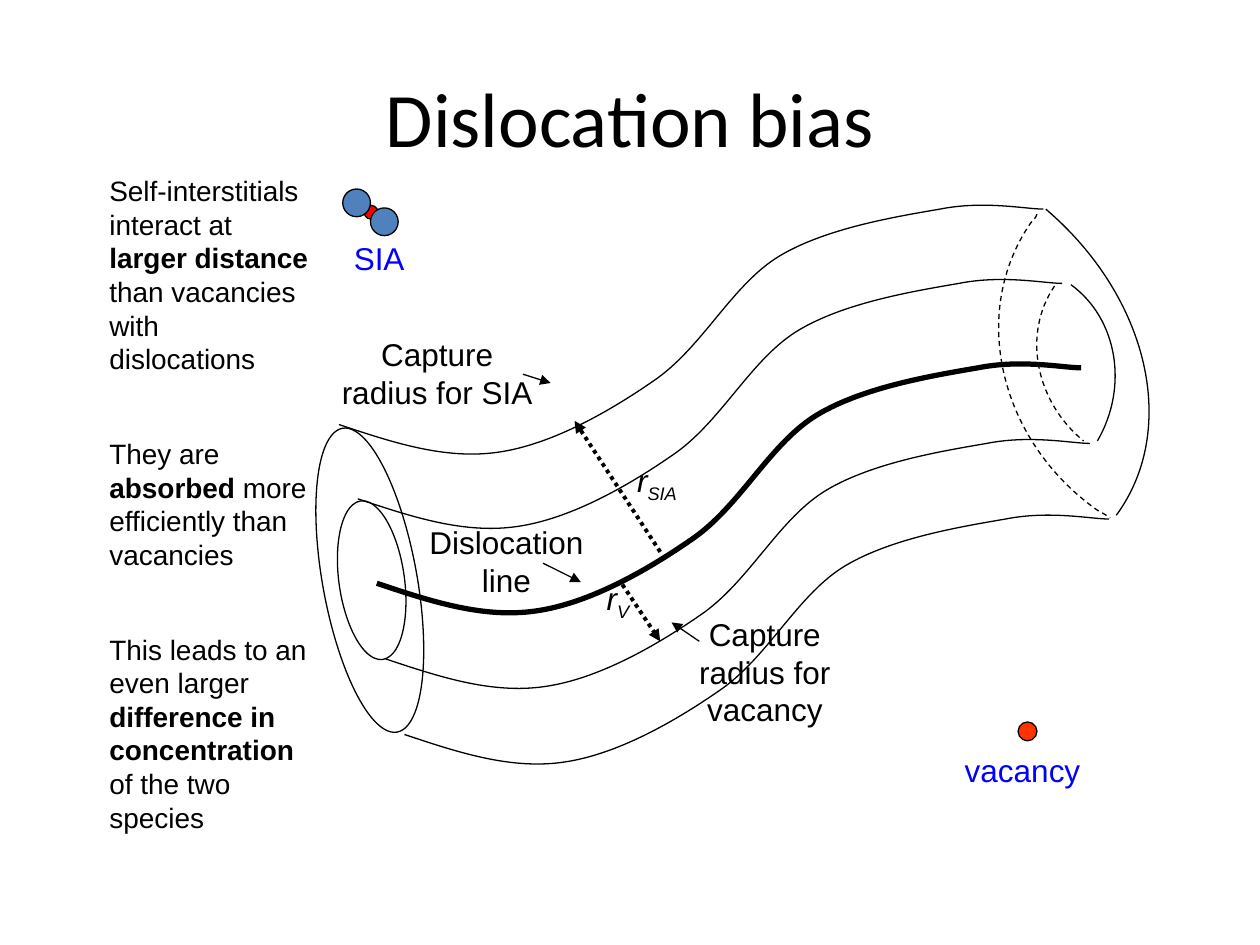
from lxml.etree import SubElement
from pptx import Presentation
from pptx.dml.color import RGBColor
from pptx.enum.dml import MSO_LINE
from pptx.enum.shapes import MSO_CONNECTOR, MSO_SHAPE
from pptx.enum.text import MSO_ANCHOR, PP_ALIGN
from pptx.oxml.ns import qn
from pptx.util import Inches, Pt

COLORS = {"ink": "000000", "name": "0000FF", "atom": "4F81BD",
          "core": "FF0000", "vacancy": "FF3300"}
BODY = {"name": "Arial", "size": Pt(16)}
LABEL = {"name": "Arial", "size": Pt(18)}
SYMBOL = {**LABEL, "italic": True}
TITLE = {"name": "Calibri", "size": Pt(44)}

# Bezier points shared by the dislocation line and the four tube edges
WAVE = [(0, 0), (0.42, 0.14), (0.84, 0.28), (1.26, 0.22), (1.69, 0.16),
        (2.16, -0.11), (2.53, -0.37), (2.9, -0.64), (3.13, -1.12),
        (3.5, -1.34), (3.87, -1.56), (4.42, -1.65), (4.77, -1.71),
        (5.12, -1.78), (5.45, -1.71), (5.59, -1.71)]


def color(key):
    return RGBColor.from_string(COLORS[key])


def set_line(line, width=0.75, dash=None):
    line.color.rgb = color("ink")
    line.width = Pt(width)
    if dash:
        line.dash_style = dash


def add_run(paragraph, text, font, color_key="ink", **extra):
    run = paragraph.add_run()
    run.text = text
    for attribute, value in {**font, **extra}.items():
        setattr(run.font, attribute, value)
    run.font.color.rgb = color(color_key)
    return run


def add_text_frame(slide, box):
    frame = slide.shapes.add_textbox(*map(Inches, box)).text_frame
    frame.word_wrap = True
    return frame


def add_label(slide, box, text, font=LABEL, color_key="ink", subscript=""):
    paragraph = add_text_frame(slide, box).paragraphs[0]
    paragraph.alignment = PP_ALIGN.CENTER
    add_run(paragraph, text, font, color_key)
    if subscript:
        run = add_run(paragraph, subscript, font, color_key)
        run._r.get_or_add_rPr().set("baseline", "-25000")


def add_ellipse(slide, box, fill=None, rotation=0):
    shape = slide.shapes.add_shape(MSO_SHAPE.OVAL, *map(Inches, box))
    shape.shadow.inherit = False
    shape.rotation = rotation
    if fill:
        shape.fill.solid()
        shape.fill.fore_color.rgb = color(fill)
    else:
        shape.fill.background()
    set_line(shape.line)


def add_curve(slide, left, top, points, width=0.75, dash=None):
    """Draw cubic Bezier segments through a start point and triples."""
    places = [(Inches(left + x), Inches(top + y)) for x, y in points]
    builder = slide.shapes.build_freeform(*places[0])
    builder.add_line_segments(places[1:], close=False)
    shape = builder.convert_to_shape()
    outline = shape._element.find(".//" + qn("a:path"))
    segments = outline.findall(qn("a:lnTo"))
    for index in range(0, len(segments), 3):
        curve = SubElement(outline, qn("a:cubicBezTo"))
        for segment in segments[index:index + 3]:
            curve.append(segment[0])
            outline.remove(segment)
    shape.shadow.inherit = False
    shape.fill.background()
    set_line(shape.line, width, dash)


def add_arrow(slide, left, top, start, end, width=0.75, dash=None):
    ends = [Inches(origin + offset) for point in (start, end)
            for origin, offset in zip((left, top), point)]
    connector = slide.shapes.add_connector(MSO_CONNECTOR.STRAIGHT, *ends)
    set_line(connector.line, width, dash)
    SubElement(connector.line._get_or_add_ln(), qn("a:tailEnd"), type="triangle")
    SubElement(connector._element.spPr, qn("a:effectLst"))


def add_title(slide, box):
    frame = add_text_frame(slide, box)
    frame.vertical_anchor = MSO_ANCHOR.MIDDLE
    frame.paragraphs[0].alignment = PP_ALIGN.CENTER
    add_run(frame.paragraphs[0], "Dislocation bias", TITLE)


def add_explanation(slide, box):
    statements = [
        ("Self-interstitials interact at ", "larger distance",
         " than vacancies with dislocations"),
        ("They are ", "absorbed ", "more efficiently than vacancies"),
        ("This leads to an even larger ", "difference in concentration ",
         "of the two species"),
    ]
    frame = add_text_frame(slide, box)
    for index, (before, key_words, after) in enumerate(statements):
        paragraph = frame.add_paragraph() if index else frame.paragraphs[0]
        paragraph.space_before = Pt(35 if index else 0)
        add_run(paragraph, before, BODY)
        add_run(paragraph, key_words, BODY, bold=True)
        add_run(paragraph, after, BODY)


def add_tubes(slide, left, top):
    # Tube edges, with the thick dislocation line in the middle
    for x, y, width in [(0.19, 1.87, 0.75), (0.34, 2.46, 0.75), (0.49, 3.13, 3),
                        (0.56, 3.73, 0.75), (0.71, 4.33, 0.75)]:
        add_curve(slide, left + x, top + y, WAVE, width)
    # Near ends
    add_ellipse(slide, (left + 0.19, top + 2.47, 0.52, 1.27), rotation=-7.9)
    add_ellipse(slide, (left + 0.06, top + 1.88, 0.75, 2.45), rotation=-10.2)
    # Far ends: visible rims solid, hidden rims dashed
    for dash, points in [
        (None, [(6, 0.76), (6.37, 1.03), (6.46, 1.57), (6.21, 2)]),
        (None, [(5.8, 0.16), (6.62, 0.86), (6.86, 1.91), (6.36, 2.59)]),
        (MSO_LINE.DASH, [(5.87, 0.77), (5.61, 1.15), (5.72, 1.69), (6.1, 2)]),
        (MSO_LINE.DASH, [(5.73, 0.2), (5.72, 0.23), (5.7, 0.25), (5.68, 0.27),
                         (5.19, 0.98), (5.43, 2), (6.21, 2.55),
                         (6.25, 2.57), (6.28, 2.59), (6.31, 2.61)]),
    ]:
        add_curve(slide, left, top, points, dash=dash)


def add_annotations(slide, left, top):
    for x, y, width, height, text in [
        (0.7, 2.6, 1.64, 0.71, "Dislocation line"),
        (0.07, 1.11, 1.8, 0.71, "Capture radius for SIA"),
        (2.75, 3.33, 1.64, 1.01, "Capture radius for vacancy"),
    ]:
        add_label(slide, (left + x, top + y, width, height), text)
    for x, y, subscript in [(2.38, 2.11, "SIA"), (2.07, 3.05, "V")]:
        add_label(slide, (left + x, top + y, 0.67, 0.4), "r", SYMBOL,
                  subscript=subscript)
    # Pointers from the labels
    for start, end in [((1.81, 2.97), (2.11, 3.12)),
                       ((1.65, 1.47), (1.87, 1.54)),
                       ((3.05, 3.59), (2.83, 3.44))]:
        add_arrow(slide, left, top, start, end)
    # Capture radii
    for start, end in [((2.74, 2.88), (2.06, 1.84)),
                       ((2.44, 3.14), (2.74, 3.59))]:
        add_arrow(slide, left, top, start, end, 2.25, MSO_LINE.ROUND_DOT)


def add_interstitial(slide, left, top):
    for x, y, size, fill in [(0.26, 0.13, 0.11, "core"), (0.09, 0, 0.22, "atom"),
                             (0.31, 0.15, 0.22, "atom")]:
        add_ellipse(slide, (left + x, top + y, size, size), fill)
    add_label(slide, (left, top + 0.35, 0.76, 0.4), "SIA", color_key="name")


def add_vacancy(slide, left, top):
    add_ellipse(slide, (left + 0.56, top, 0.15, 0.15), "vacancy")
    add_label(slide, (left, top + 0.18, 1.19, 0.4), "vacancy", color_key="name")


def main():
    presentation = Presentation()
    presentation.slide_width = Inches(10)
    presentation.slide_height = Inches(7.5)
    slide = presentation.slides.add_slide(presentation.slide_layouts[6])
    add_tubes(slide, 2.5, 1.5)
    add_interstitial(slide, 2.63, 1.5)
    add_vacancy(slide, 7.52, 5.73)
    add_explanation(slide, (0.77, 1.33, 1.8, 5.49))
    add_annotations(slide, 2.5, 1.5)
    add_title(slide, (0.5, 0.3, 9, 1.25))
    presentation.save("out.pptx")


if __name__ == "__main__":
    main()
